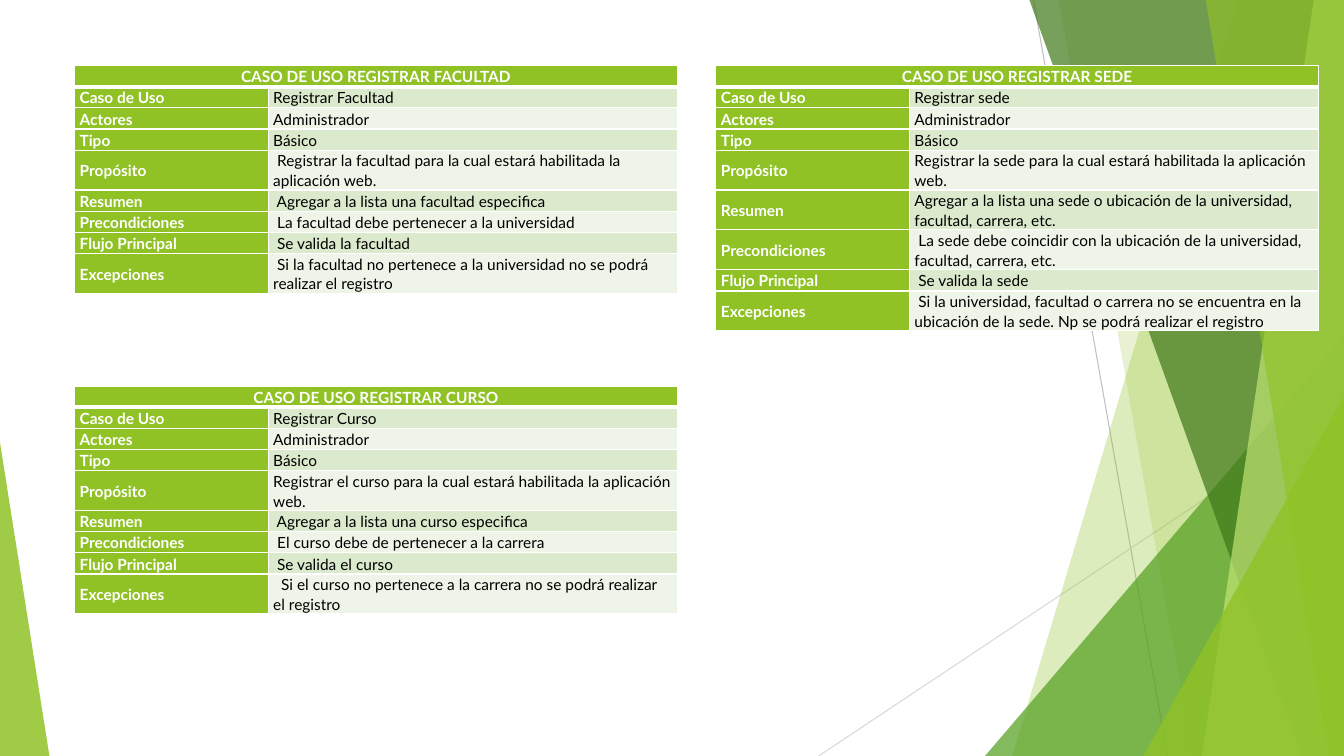
from lxml import etree
from pptx import Presentation
from pptx.dml.color import RGBColor
from pptx.enum.shapes import MSO_CONNECTOR, MSO_SHAPE
from pptx.enum.text import MSO_ANCHOR, PP_ALIGN
from pptx.oxml.ns import qn
from pptx.util import Inches, Pt

STRAIGHT = MSO_CONNECTOR.STRAIGHT
TRIANGLE = MSO_SHAPE.ISOSCELES_TRIANGLE
MIDDLE = MSO_ANCHOR.MIDDLE
LEFT, CENTER = PP_ALIGN.LEFT, PP_ALIGN.CENTER

W, H = 13.33, 7.5
GREEN, WHITE, BLACK = "90C226", "FFFFFF", "000000"
BANDS = "DBE9CD", "EEF4E8"
COLS = 1.92, 4.06
ROW = 0.21

# Thin lines: start, end, colour
RAYS = [
    ((10.25, 0), (11.58, H), "BFBFBF"),
    ((W, 4.03), (8.12, H), "D9D9D9"),
]
# Facets on the right edge: top left x, bottom left x, top y, colour, opacity
FACETS = [
    (12.28, 10.04, 0, GREEN, 30),
    (10.5, 11.83, 0, GREEN, 20),
    (W, 9.77, 3.33, "54A021", 72),
    (10.21, 12.91, 0, "3F7819", 70),
    (13.03, 11.92, 0, "C0E474", 70),
    (11.96, 13.18, 0, GREEN, 65),
    (W, 11.34, 3.93, GREEN, 80),
]

LABELS = ["Caso de Uso", "Actores", "Tipo", "Propósito", "Resumen",
          "Precondiciones", "Flujo Principal", "Excepciones"]
# Use cases: left, top, title, details
CASES = [
    (0.74, 0.65, "CASO DE USO REGISTRAR FACULTAD", [
        "Registrar Facultad", "Administrador", "Básico",
        " Registrar la facultad para la cual estará habilitada la aplicación web.",
        " Agregar a la lista una facultad especifica",
        " La facultad debe pertenecer a la universidad",
        " Se valida la facultad",
        " Si la facultad no pertenece a la universidad no se podrá realizar el registro",
    ]),
    (0.74, 3.83, "CASO DE USO REGISTRAR CURSO", [
        "Registrar Curso", "Administrador", "Básico",
        "Registrar el curso para la cual estará habilitada la aplicación web.",
        " Agregar a la lista una curso especifica",
        " El curso debe de pertenecer a la carrera",
        " Se valida el curso",
        "  Si el curso no pertenece a la carrera no se podrá realizar el registro",
    ]),
    (7.1, 0.65, "CASO DE USO REGISTRAR SEDE", [
        "Registrar sede", "Administrador", "Básico",
        "Registrar la sede para la cual estará habilitada la aplicación web.",
        "Agregar a la lista una sede o ubicación de la universidad, facultad, carrera, etc.",
        " La sede debe coincidir con la ubicación de la universidad, facultad, carrera, etc.",
        " Se valida la sede",
        " Si la universidad, facultad o carrera no se encuentra en la "
        "ubicación de la sede. Np se podrá realizar el registro",
    ]),
]


def color(code):
    return RGBColor.from_string(code)


def paint(shape, code, alpha):
    shape.shadow.inherit = False
    shape.line.fill.background()
    shape.fill.solid()
    shape.fill.fore_color.rgb = color(code)
    tint = shape.fill._xPr.find(".//" + qn("a:srgbClr"))
    etree.SubElement(tint, qn("a:alpha"), val=str(alpha * 1000))


def add_ray(slide, start, end, code):
    ray = slide.shapes.add_connector(STRAIGHT, *map(Inches, start + end))
    ray.line.color.rgb = color(code)
    ray.line.width = Pt(0.75)
    etree.SubElement(ray._element.spPr, qn("a:effectLst"))


def add_wedge(slide, x, y, w, h, apex, code, alpha):
    wedge = slide.shapes.add_shape(TRIANGLE, *map(Inches, (x, y, w, h)))
    wedge.adjustments[0] = apex
    paint(wedge, code, alpha)


def add_facet(slide, top, base, y, code, alpha):
    if top == W:
        add_wedge(slide, base, y, W - base, H - y, 1, code, alpha)
        return
    form = slide.shapes.build_freeform(Inches(top), Inches(y))
    form.add_line_segments(
        [(Inches(a), Inches(b)) for a, b in ((W, y), (W, H), (base, H))])
    paint(form.convert_to_shape(), code, alpha)


def add_decor(slide):
    for ray in RAYS:
        add_ray(slide, *ray)
    for facet in FACETS:
        add_facet(slide, *facet)
    add_wedge(slide, 0, 4.39, 0.49, H - 4.39, 0, GREEN, 85)


def set_edges(cell, **widths):
    props = cell._tc.get_or_add_tcPr()
    for side in "LRTB":
        edge = etree.SubElement(props, qn("a:ln" + side),
                                w=str(Pt(widths.get(side, 1))))
        fill = etree.SubElement(edge, qn("a:solidFill"))
        etree.SubElement(fill, qn("a:srgbClr"), val=WHITE)


def fill_cell(cell, text, back, ink, align=LEFT, **widths):
    set_edges(cell, **widths)
    cell.fill.solid()
    cell.fill.fore_color.rgb = color(back)
    cell.vertical_anchor = MIDDLE
    cell.margin_left = cell.margin_right = Inches(0.05)
    cell.margin_top = cell.margin_bottom = 0
    cell.text = text
    para = cell.text_frame.paragraphs[0]
    para.alignment = align
    para.line_spacing = 1.07
    para.font.name = "Lato"
    para.font.size = Pt(11)
    para.font.bold = ink == WHITE
    para.font.color.rgb = color(ink)


def add_case(slide, x, y, title, details):
    count = len(LABELS) + 1
    box = map(Inches, (x, y, sum(COLS), ROW * count))
    table = slide.shapes.add_table(count, len(COLS), *box).table
    for col, width in zip(table.columns, COLS):
        col.width = Inches(width)
    for row in table.rows:
        row.height = Inches(ROW)
    # Title row
    head = table.cell(0, 0)
    head.merge(table.cell(0, 1))
    fill_cell(head, title, GREEN, WHITE, CENTER, B=3)
    set_edges(table.cell(0, 1), B=3)
    # Label and detail rows
    for i, (label, detail) in enumerate(zip(LABELS, details)):
        top = 1 if i else 3
        fill_cell(table.cell(i + 1, 0), label, GREEN, WHITE, T=top)
        fill_cell(table.cell(i + 1, 1), detail, BANDS[i % 2], BLACK, T=top)


def main():
    deck = Presentation()
    deck.slide_width, deck.slide_height = Inches(W), Inches(H)
    slide = deck.slides.add_slide(deck.slide_layouts[6])
    add_decor(slide)
    for case in CASES:
        add_case(slide, *case)
    deck.save("out.pptx")


if __name__ == "__main__":
    main()
